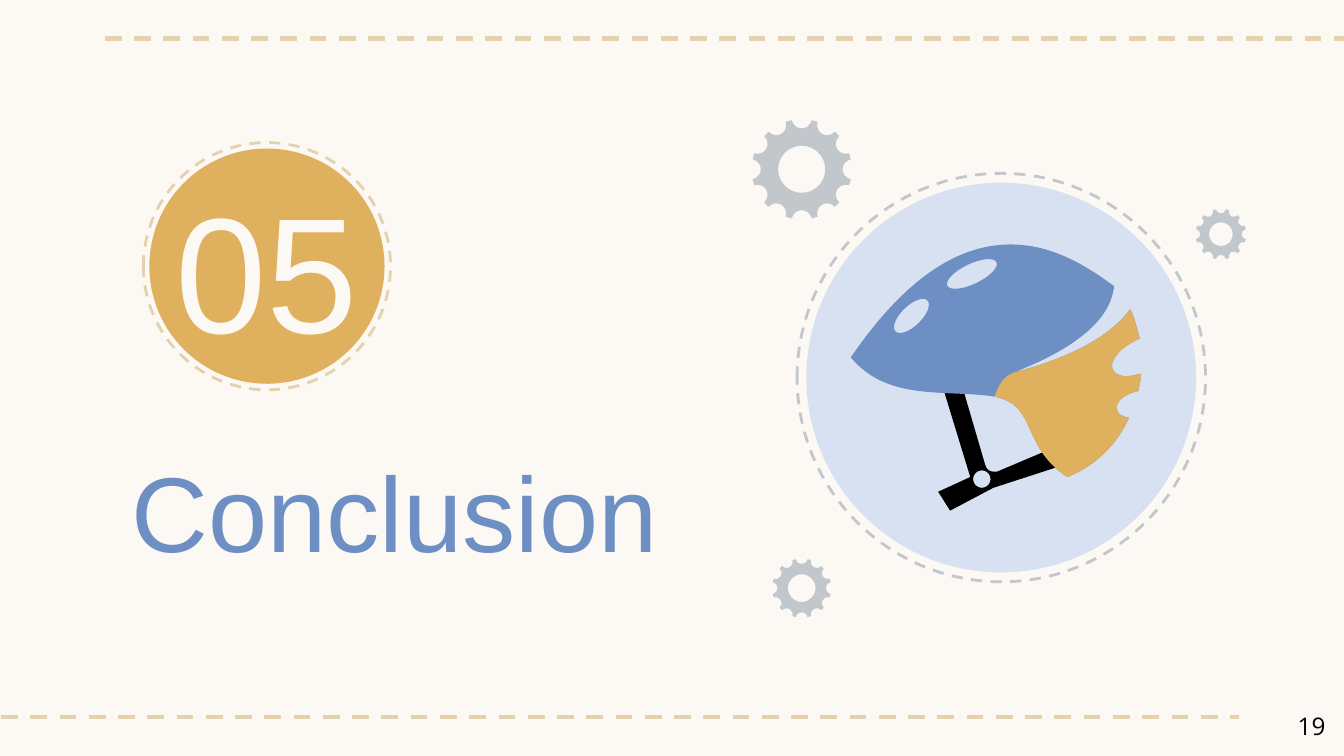
from math import cos, pi, radians, sin

from lxml.etree import SubElement
from pptx import Presentation
from pptx.dml.color import RGBColor
from pptx.enum.dml import MSO_LINE_DASH_STYLE as DASH
from pptx.enum.shapes import MSO_CONNECTOR, MSO_SHAPE
from pptx.enum.text import MSO_ANCHOR as ANCHOR, PP_ALIGN as ALIGN
from pptx.oxml.ns import qn
from pptx.util import Pt

COLORS = {
    "cream": "FCF8F4",
    "sand": "E4D1AD",
    "gold": "DFB05E",
    "blue": "6E8FC3",
    "pale_blue": "D8E1F1",
    "gray": "C2C7CC",
    "black": "000000",
}

# Outlines in points: a pair is a corner, six numbers are a Bézier curve
BACK_EDGE = [
    (565.9, 193.7, 593.3, 182.9, 605.5, 165.6),
    (607.7, 169.9, 609.1, 175.7, 610.6, 181.4),
    (609.1, 182.2, 608.4, 182.2, 607.7, 182.9),
    (599, 187.2, 594, 194.4, 596.2, 198),
    (596.9, 200.2, 599.8, 201.6, 603.4, 201.6),
    (605.5, 201.6, 608.4, 200.9, 611.3, 200.2),
    (611.3, 203, 610.6, 205.9, 609.8, 209.5),
    (602.6, 211, 597.6, 215.3, 598.3, 218.9),
    (598.3, 221.8, 601.2, 223.2, 604.8, 223.9),
    (599, 236.9, 588.2, 249.1, 571.7, 255.6),
]
HELMET = [
    (541.4, 131),
    (564.5, 131, 583.2, 143.3, 596.9, 153.4),
    (595.4, 167, 583.9, 183.6, 543.6, 199.4),
    *BACK_EDGE,
    (544.3, 236.9, 558, 213.8, 526.3, 211.7),
    (500.4, 209.5, 473.8, 213.1, 455.8, 191.5),
    (487.4, 145.4, 516.2, 131, 541.4, 131),
]
BACK_PANEL = [
    (543.6, 199.4),
    *BACK_EDGE,
    (546.5, 238.3, 555.8, 217.4, 532.8, 212.4),
    (536.4, 202.3, 540, 200.9, 543.6, 199.4),
]
STRAP = [
    (500.4, 192.2), (511.2, 192.2), (527.8, 249.1),
    (528.5, 251.3, 529.9, 252.7, 532.1, 252.7),
    (534.2, 252.7), (576.7, 234.7), (578.9, 246.2), (532.1, 261.4),
    (509, 273.6), (502.6, 263.5), (519.8, 255.6),
]


def rgb(name):
    return RGBColor.from_string(COLORS[name])


def oval(x, y, a, b, tilt=0):
    """Outline of an ellipse with half axes a and b, in four curves."""
    turn = radians(tilt)

    def place(u, v):
        return (x + a * u * cos(turn) - b * v * sin(turn),
                y + a * u * sin(turn) + b * v * cos(turn))

    outline = [place(1, 0)]
    for c, s in ((1, 0), (0, 1), (-1, 0), (0, -1)):
        outline.append(place(c - 0.55 * s, s + 0.55 * c)
                       + place(0.55 * c - s, 0.55 * s + c) + place(-s, c))
    return outline


def add_outline(slide, color, *contours):
    """Filled freeform; contours after the first are holes."""
    ends = [[(Pt(part[-2]), Pt(part[-1])) for part in contour] for contour in contours]
    builder = slide.shapes.build_freeform(*ends[0][0])
    builder.add_line_segments(ends[0][1:], close=True)
    for hole in ends[1:]:
        builder.move_to(*hole[0])
        builder.add_line_segments(hole[1:], close=True)
    shape = builder.convert_to_shape()
    shape.shadow.inherit = False
    shape.fill.solid()
    shape.fill.fore_color.rgb = rgb(color)
    shape.line.fill.background()

    # Bend the segments that have control points
    parts = [part for contour in contours for part in contour[1:]]
    segments = list(shape._element.iter(qn("a:lnTo")))
    for part, segment in zip(parts, segments):
        if len(part) == 6:
            outline = segment.getparent()
            curve = SubElement(outline, qn("a:cubicBezTo"))
            for x, y in zip(part[::2], part[1::2]):
                SubElement(curve, qn("a:pt"), x=str(Pt(x) - shape.left),
                           y=str(Pt(y) - shape.top))
            outline.replace(segment, curve)


def add_gear(slide, x, y, radius, teeth=12):
    """Gear with rounded notches and a round hole."""
    rim = []
    for tooth in range(teeth):
        middle = 2 * pi * tooth / teeth - pi / 2
        start, first, second, end = (
            (x + radius * reach * cos(middle + offset),
             y + radius * reach * sin(middle + offset))
            for offset, reach in ((-0.2, 1.02), (-0.18, 0.79), (0.18, 0.79), (0.2, 1.02)))
        rim += [start, first + second + end]
    add_outline(slide, "gray", rim, oval(x, y, radius * 0.48, radius * 0.48))


def add_circle(slide, x, y, radius, fill=None, dashed=None):
    shape = slide.shapes.add_shape(
        MSO_SHAPE.OVAL, Pt(x - radius), Pt(y - radius), Pt(2 * radius), Pt(2 * radius))
    shape.shadow.inherit = False
    if fill:
        shape.fill.solid()
        shape.fill.fore_color.rgb = rgb(fill)
    else:
        shape.fill.background()
    if dashed:
        style_dashes(shape.line, dashed, 1.5)
    else:
        shape.line.fill.background()


def style_dashes(line, color, width):
    line.color.rgb = rgb(color)
    line.width = Pt(width)
    line.dash_style = DASH.DASH


def add_rule(slide, left, right, y):
    rule = slide.shapes.add_connector(
        MSO_CONNECTOR.STRAIGHT, Pt(left), Pt(y), Pt(right), Pt(y))
    style_dashes(rule.line, "sand", 2.25)
    SubElement(rule._element.spPr, qn("a:effectLst"))


def add_text(slide, text, box, size, color, font="Arial", align=ALIGN.LEFT,
             anchor=ANCHOR.TOP, top_margin=7.2):
    shape = slide.shapes.add_textbox(*(Pt(length) for length in box))
    frame = shape.text_frame
    frame.text = text
    frame.word_wrap = True
    frame.vertical_anchor = anchor
    frame.margin_left = frame.margin_right = frame.margin_bottom = Pt(7.2)
    frame.margin_top = Pt(top_margin)
    paragraph = frame.paragraphs[0]
    paragraph.alignment = align
    run_font = paragraph.runs[0].font
    run_font.name = font
    run_font.size = Pt(size)
    run_font.color.rgb = rgb(color)


def main():
    presentation = Presentation()
    presentation.slide_width, presentation.slide_height = Pt(720), Pt(405)
    slide = presentation.slides.add_slide(presentation.slide_layouts[6])
    slide.background.fill.solid()
    slide.background.fill.fore_color.rgb = rgb("cream")

    # Dashed rules at top and bottom
    add_rule(slide, 56.2, 735.1, 20.6)
    add_rule(slide, -15.1, 663.8, 384.3)

    # Section number badge and title
    add_circle(slide, 143, 142.6, 66.2, dashed="sand")
    add_circle(slide, 143, 142.6, 63, fill="gold")
    add_text(slide, "Conclusion", (63.4, 226.8, 369.4, 66.2), 57, "blue", top_margin=12.2)
    add_text(slide, "05", (72, 67, 141.8, 142.6), 88, "cream",
             align=ALIGN.CENTER, anchor=ANCHOR.MIDDLE, top_margin=17.2)

    # Helmet on its round backdrop
    add_circle(slide, 536.4, 202.3, 109.4, dashed="gray")
    add_circle(slide, 536.4, 202.3, 104.4, fill="pale_blue")
    add_outline(slide, "black", STRAP, oval(526, 256.7, 4.7, 4.7))
    add_outline(slide, "blue", HELMET,
                oval(520.7, 146.8, 14.6, 5.4, -25.5), oval(488.3, 169.3, 11.9, 5.4, -44))
    add_outline(slide, "gold", BACK_PANEL)

    # Gears
    for x, y, radius in ((429.5, 90.7, 26.3), (654.1, 125.5, 13.3), (429.5, 315.1, 15.5)):
        add_gear(slide, x, y, radius)

    # Slide number
    add_text(slide, "19", (673.9, 373.7, 43.2, 31), 13, "black",
             font="Open Sans", align=ALIGN.RIGHT)

    presentation.save("out.pptx")


if __name__ == "__main__":
    main()
